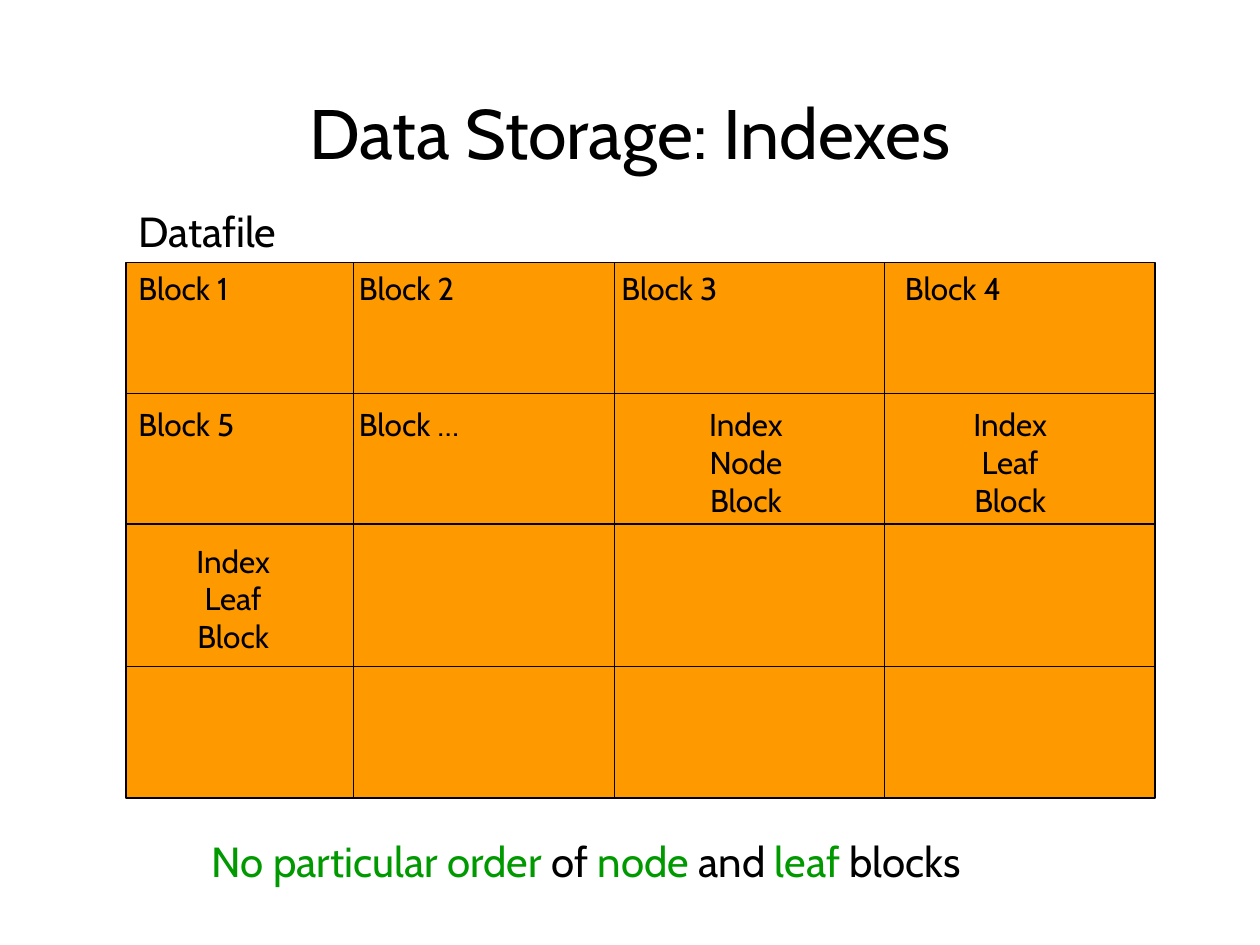
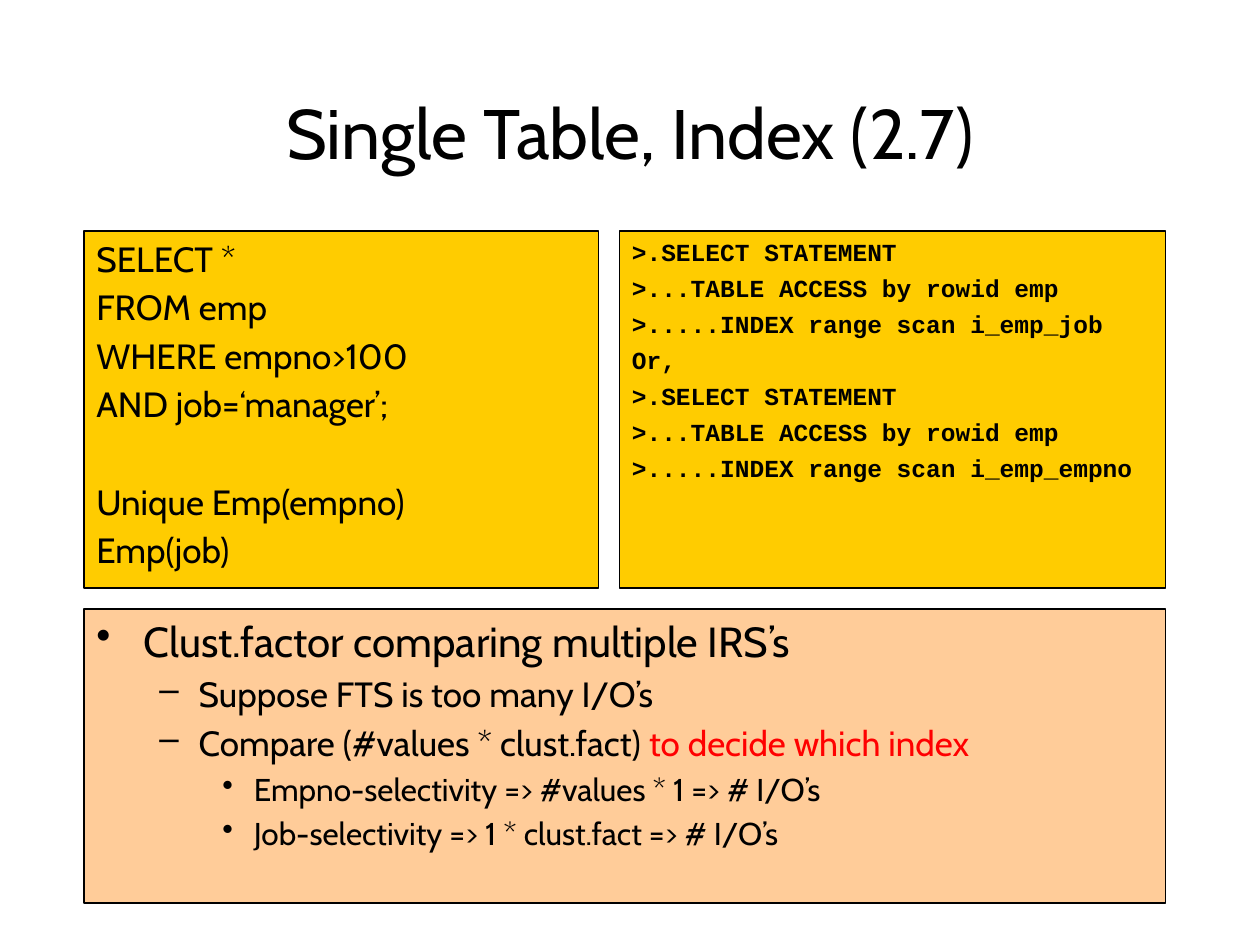
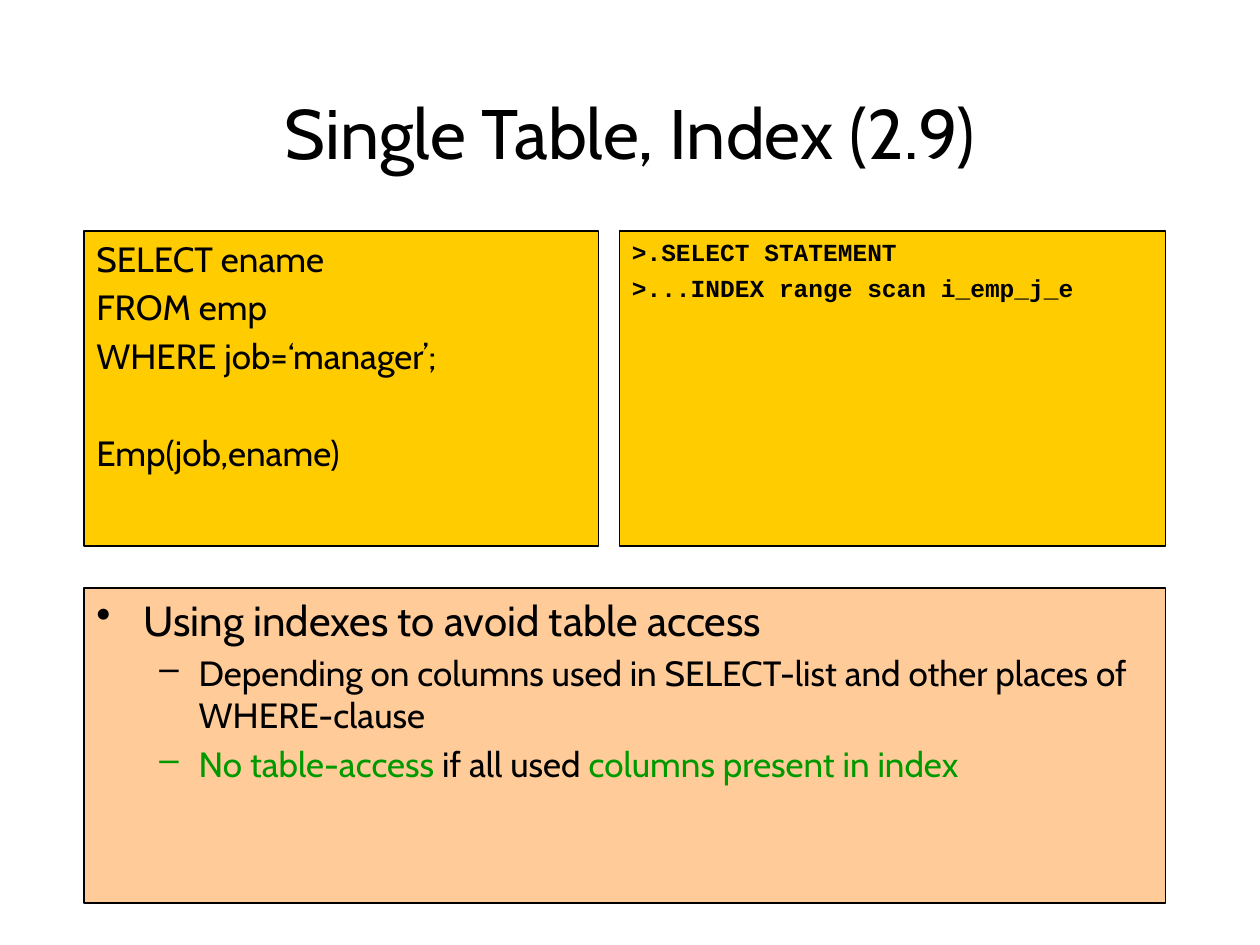
from pptx import Presentation
from pptx import util as u
from pptx.dml.color import RGBColor
from pptx.enum import shapes, text
from pptx.oxml import parse_xml
from pptx.oxml.ns import nsdecls, qn
from lxml import etree

Pt = u.Pt
COLORS = {
    "black": "000000", "green": "009900", "red": "FF0000",
    "block": "FF9900", "code": "FFCC00", "notes": "FFCC99",
}
FONT, MONO = "Cabin", "Courier New"
LINE_WIDTH = 0.75
SQL_STYLE = {"size": Pt(20), "name": FONT}
PLAN_STYLE = {"size": Pt(14), "name": MONO, "bold": True}
LINE_GAP = 3.7      # space between lines in the code panels
BLANK_GAP = 31.7    # one empty line of SQL

# Bullet levels: character, left margin, hanging indent, text size
LEVELS = [("•", 27, 27, 24), ("–", 58.5, 22.5, 20), ("•", 90, 18, 18)]

# Panels shared by the two query slides
LEFT, RIGHT, PANEL_TOP, BOTTOM = 48, 666, 132, 516
SQL_WIDTH, PLAN_LEFT = 294, 354


def rgb(color):
    return RGBColor.from_string(COLORS[color])


def add_runs(p, parts, style):
    """Add a plain string, or a list of strings and (string, colour) pairs."""
    for part in [parts] if isinstance(parts, str) else parts:
        words, color = (part, "black") if isinstance(part, str) else part
        r = p.add_run()
        r.text = words
        for name, value in style.items():
            setattr(r.font, name, value)
        r.font.color.rgb = rgb(color)


def set_indent(p, margin, hanging, bullet=None):
    pPr = p._p.get_or_add_pPr()
    pPr.set("marL", str(Pt(margin)))
    pPr.set("indent", str(-Pt(hanging)))
    if bullet:
        pPr.append(parse_xml(f'<a:buChar {nsdecls("a")} char="{bullet}"/>'))


def paragraphs(tf, items):
    """Yield each item with its paragraph and whether it is the first."""
    for i, item in enumerate(items):
        yield item, tf.add_paragraph() if i else tf.paragraphs[0], i == 0


def add_titled_slide(prs, title):
    s = prs.slides.add_slide(prs.slide_layouts[5])
    sp = s.shapes.title
    for name, value in {"left": 54, "top": 48, "width": 612, "height": 54}.items():
        setattr(sp, name, Pt(value))
    tf = sp.text_frame
    tf.vertical_anchor = text.MSO_ANCHOR.MIDDLE
    p = tf.paragraphs[0]
    p.alignment = text.PP_ALIGN.CENTER
    add_runs(p, title, {"size": Pt(40), "name": FONT})
    return s


def add_panel(s, left, top, width, height, fill):
    sp = s.shapes.add_shape(shapes.MSO_SHAPE.RECTANGLE,
                            Pt(left), Pt(top), Pt(width), Pt(height))
    sp.shadow.inherit = False
    sp.fill.solid()
    sp.fill.fore_color.rgb = rgb(fill)
    sp.line.color.rgb = rgb("black")
    sp.line.width = Pt(LINE_WIDTH)
    tf = sp.text_frame
    tf.word_wrap = True
    tf.vertical_anchor = text.MSO_ANCHOR.TOP
    return tf


def add_line(s, x1, y1, x2, y2):
    line = s.shapes.add_connector(shapes.MSO_CONNECTOR.STRAIGHT,
                                  Pt(x1), Pt(y1), Pt(x2), Pt(y2))
    line.line.color.rgb = rgb("black")
    line.line.width = Pt(LINE_WIDTH)
    etree.SubElement(line._element.spPr, qn("a:effectLst"))


def add_label(s, left, top, width, height, lines, size=18, align="LEFT"):
    sp = s.shapes.add_textbox(Pt(left), Pt(top), Pt(width), Pt(height))
    tf = sp.text_frame
    tf.word_wrap = False
    tf.auto_size = text.MSO_AUTO_SIZE.SHAPE_TO_FIT_TEXT
    for parts, p, _ in paragraphs(tf, lines):
        p.alignment = text.PP_ALIGN[align]
        add_runs(p, parts, {"size": Pt(size), "name": FONT})


def add_code(s, left, width, height, groups, style):
    """Code panel; groups of lines are set apart by an empty line's height."""
    tf = add_panel(s, left, PANEL_TOP, width, height, "code")
    lines = [(line, BLANK_GAP if i == 0 else LINE_GAP)
             for group in groups for i, line in enumerate(group)]
    for (line, gap), p, first in paragraphs(tf, lines):
        p.alignment = text.PP_ALIGN.LEFT
        p.space_before = Pt(0 if first else gap)
        set_indent(p, 27, 27)
        add_runs(p, line, style)


def add_notes_panel(s, top, items):
    tf = add_panel(s, LEFT, top, RIGHT - LEFT, BOTTOM - top, "notes")
    for (level, parts), p, first in paragraphs(tf, items):
        bullet, margin, hanging, size = LEVELS[level]
        p.level = level
        p.alignment = text.PP_ALIGN.LEFT
        p.space_before = Pt(0 if first else size * 0.2)
        set_indent(p, margin, hanging, bullet)
        add_runs(p, parts, {"size": Pt(size), "name": FONT})


def add_query_slide(prs, title, sql, plan, panel_height, notes_top, notes):
    s = add_titled_slide(prs, title)
    add_notes_panel(s, notes_top, notes)
    add_code(s, PLAN_LEFT, RIGHT - PLAN_LEFT, panel_height, [plan], PLAN_STYLE)
    add_code(s, LEFT, SQL_WIDTH, panel_height, sql, SQL_STYLE)


def add_storage_slide(prs):
    s = add_titled_slide(prs, "Data Storage: Indexes")

    # Datafile grid
    left, top, right, bottom = 72, 150, 660, 456
    add_panel(s, left, top, right - left, bottom - top, "block")
    for y in (225, 299.5, 381):
        add_line(s, left, y, right, y)
    for x in (202, 351, 505.5):
        add_line(s, x, top, x, bottom)

    # Block labels
    add_label(s, left, 114, 104, 36, ["Datafile"], 24)
    for x, y, name in [(72, 150, "1"), (198, 150, "2"), (348, 150, "3"),
                       (510, 150, "4"), (72, 228, "5"), (198, 228, "…")]:
        add_label(s, x, y, 83 if name == "…" else 74, 29, [f"Block {name}"])
    for x, y, kind in [(396, 228, "Node"), (547, 228, "Leaf"), (103, 306, "Leaf")]:
        add_label(s, x, y, 60.5, 72, ["Index", kind, "Block"], align="CENTER")

    # Conclusion
    add_label(s, 114, 474, 467, 36, [[
        ("No particular order", "green"), " of ", ("node", "green"),
        " and ", ("leaf", "green"), " blocks"]], 24)


def main():
    prs = Presentation()
    prs.slide_width, prs.slide_height = Pt(720), Pt(540)

    add_storage_slide(prs)

    add_query_slide(
        prs, "Single Table, Index (2.7)",
        [["SELECT *", "FROM emp", "WHERE empno>100", "AND job=‘manager’;"],
         ["Unique Emp(empno)", "Emp(job)"]],
        [">.SELECT STATEMENT", ">...TABLE ACCESS by rowid emp",
         ">.....INDEX range scan i_emp_job", "Or,",
         ">.SELECT STATEMENT", ">...TABLE ACCESS by rowid emp",
         ">.....INDEX range scan i_emp_empno"],
        204, 348,
        [(0, "Clust.factor comparing multiple IRS’s"),
         (1, "Suppose FTS is too many I/O’s"),
         (1, ["Compare (#values * clust.fact) ", ("to decide which index", "red")]),
         (2, "Empno-selectivity => #values * 1 => # I/O’s"),
         (2, "Job-selectivity => 1 * clust.fact => # I/O’s")])

    add_query_slide(
        prs, "Single Table, Index (2.9)",
        [["SELECT ename", "FROM emp", "WHERE job=‘manager’;"],
         ["Emp(job,ename)"]],
        [">.SELECT STATEMENT", ">...INDEX range scan i_emp_j_e"],
        180, 336,
        [(0, "Using indexes to avoid table access"),
         (1, "Depending on columns used in SELECT-list and other places of "
             "WHERE-clause"),
         (1, [("No table-access", "green"), " if all used ",
              ("columns present in index", "green")])])

    prs.save("out.pptx")


if __name__ == "__main__":
    main()
